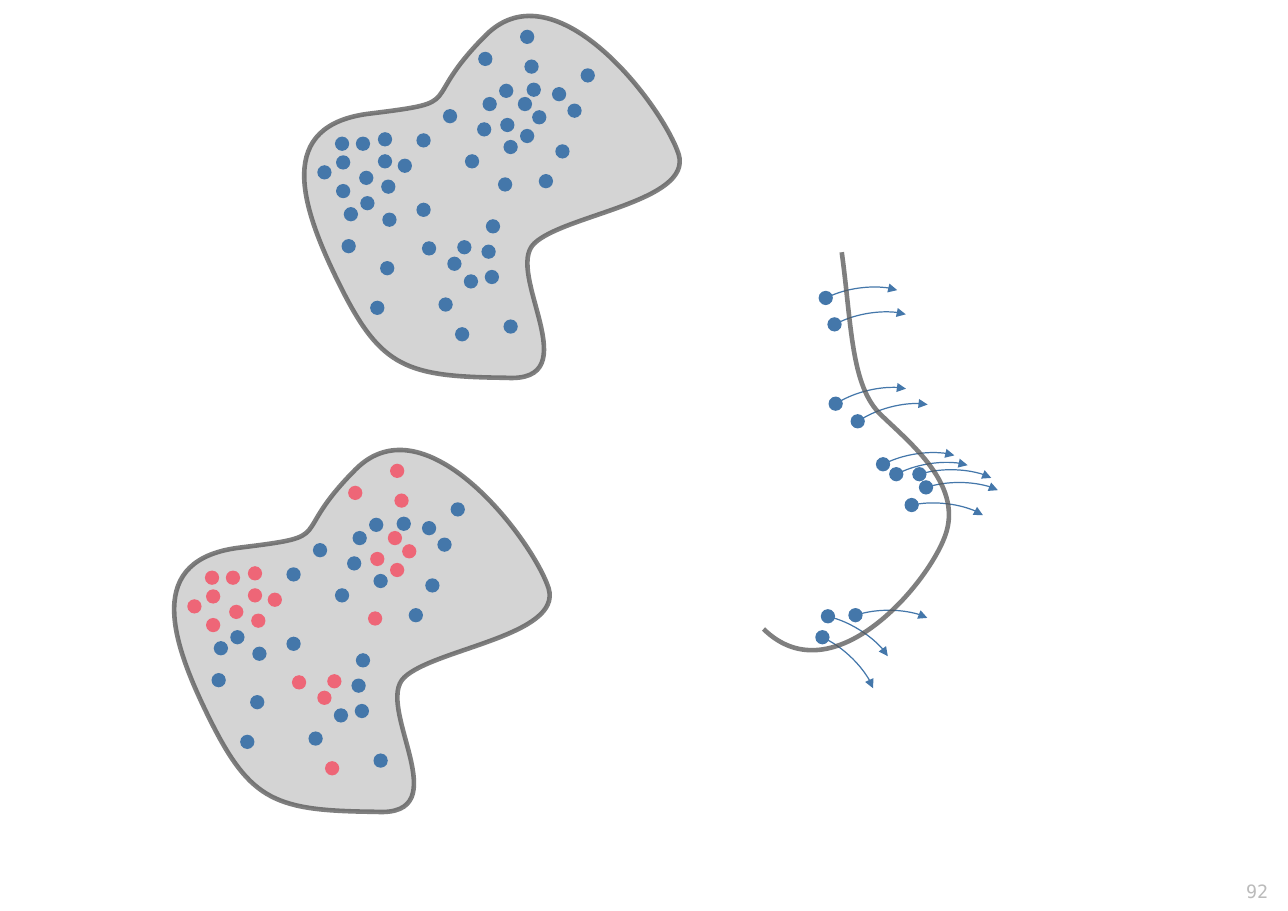
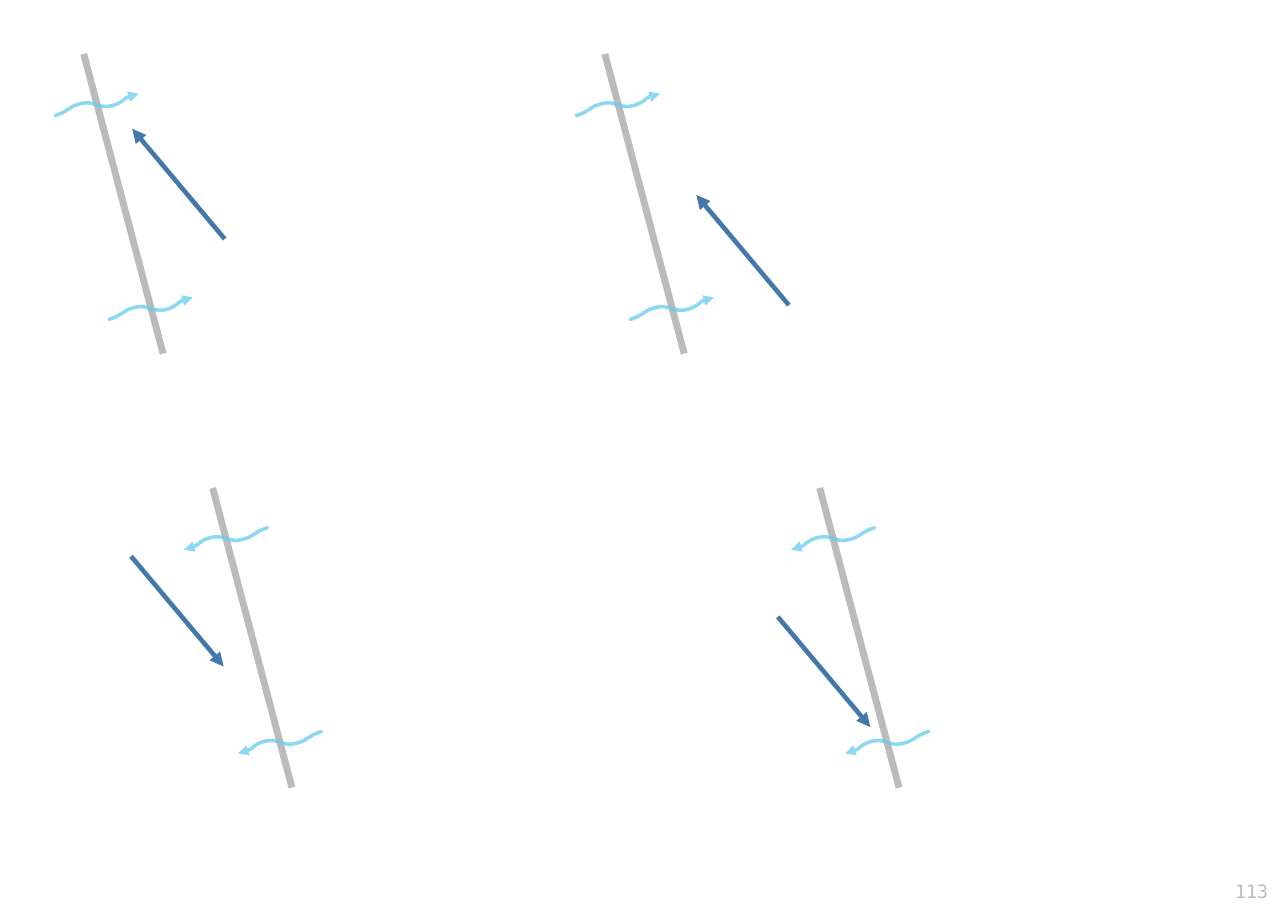
from dataclasses import dataclass
from math import cos, radians, sin

from lxml.etree import SubElement
from pptx import Presentation
from pptx.dml.color import RGBColor
from pptx.enum.shapes import MSO_CONNECTOR, MSO_SHAPE
from pptx.enum.text import PP_ALIGN
from pptx.oxml.ns import qn
from pptx.util import Inches, Pt


@dataclass(frozen=True)
class Theme:
    blue: RGBColor = RGBColor(0x44, 0x77, 0xAA)
    cyan: RGBColor = RGBColor(0x66, 0xCC, 0xEE)
    pink: RGBColor = RGBColor(0xEE, 0x66, 0x77)
    dark: RGBColor = RGBColor(0x55, 0x55, 0x55)
    grey: RGBColor = RGBColor(0xBB, 0xBB, 0xBB)
    font: str = "DejaVu Sans Mono"
    number_size: Pt = Pt(12)
    outline: Pt = Pt(3)
    hairline: Pt = Pt(0.79)
    wave: Pt = Pt(2.3)
    bar: Pt = Pt(4.5)


theme = Theme()


def stroke(s, color, width, alpha=100, arrow=False):
    s.line.color.rgb = color
    s.line.width = width
    ln = s.line._get_or_add_ln()
    if alpha < 100:
        clr = ln.find(qn("a:solidFill"))[0]
        SubElement(clr, qn("a:alpha"), val=str(alpha * 1000))
    if arrow:
        SubElement(ln, qn("a:tailEnd"), type="triangle")
    SubElement(s._element.spPr, qn("a:effectLst"))


def add_curve(shapes, points):
    samples = []
    for i in range(0, len(points) - 1, 3):
        for step in range(1, 41):
            t = step / 40
            weights = ((1 - t) ** 3, 3 * t * (1 - t) ** 2, 3 * t * t * (1 - t), t ** 3)
            samples.append([
                Inches(sum(w * pt[axis] for w, pt in zip(weights, points[i:i + 4])))
                for axis in (0, 1)
            ])
    builder = shapes.build_freeform(Inches(points[0][0]), Inches(points[0][1]), scale=1.0)
    builder.add_line_segments(samples, close=False)
    s = builder.convert_to_shape()
    outline = s._element.spPr.find(".//" + qn("a:path"))
    for segment in outline.findall(qn("a:lnTo")):
        outline.remove(segment)
    for i in range(1, len(points), 3):
        bezier = SubElement(outline, qn("a:cubicBezTo"))
        for x, y in points[i:i + 3]:
            SubElement(bezier, qn("a:pt"), x=str(Inches(x) - s.left), y=str(Inches(y) - s.top))
    if points[0] == points[-1]:
        SubElement(outline, qn("a:close"))
    s.fill.background()
    return s


prs = Presentation()
prs.slide_width, prs.slide_height = Inches(11.69), Inches(8.27)
slides = []
for number in ("92", "113"):
    slide = prs.slides.add_slide(prs.slide_layouts[6])
    slides.append(slide)
    tf = slide.shapes.add_textbox(Inches(10.61), Inches(7.94), Inches(1), Inches(0.29)).text_frame
    tf.word_wrap = False
    p = tf.paragraphs[0]
    p.alignment = PP_ALIGN.RIGHT
    r = p.add_run()
    r.text = number
    r.font.name = theme.font
    r.font.size = theme.number_size
    r.font.color.rgb = theme.grey

region_outline = [
    (4.85, 2.21), (5.12, 1.95), (6.29, 1.83), (6.16, 1.4), (6.02, 0.97), (5.05, -0.32),
    (4.41, 0.32), (3.78, 0.95), (4.26, 0.92), (3.37, 1.03), (2.49, 1.13), (2.72, 1.86),
    (3.09, 2.6), (3.46, 3.34), (3.69, 3.42), (4.59, 3.43), (5.36, 3.48), (4.57, 2.47),
    (4.85, 2.21),
]
plain_dots = [
    (4.22, 1.4), (5.04, 1.31), (5.15, 0.94), (4.89, 1.58), (4.41, 1.99), (4.4, 2.45),
    (3.98, 2.7), (3.36, 2.73), (3.1, 2.17), (3.45, 2.37), (3.78, 1.84), (3.78, 1.21),
    (4.38, 0.88), (4.57, 2.9), (3.27, 1.78), (3.47, 1.93), (3.12, 1.88), (4.57, 1.27),
    (4.33, 1.11), (4.53, 0.76), (4.78, 0.75), (5.01, 0.79), (4.02, 0.99), (5.27, 0.62),
    (4.37, 2.22), (4.21, 2.49),
]
marked_dots = [
    (3.43, 1.4), (3.83, 2.19), (4.72, 1.17), (4.76, 0.54), (4.7, 0.88), (4.52, 1.61),
    (4.13, 2.97), (4.06, 2.33), (3.05, 1.67), (3.05, 1.41), (3.23, 1.24), (3.26, 1.55),
    (3.46, 1.63), (2.88, 1.5), (3.04, 1.24), (3.43, 1.2), (3.61, 1.44), (4.54, 1.07),
    (4.83, 1), (4.72, 0.27), (4.34, 0.47), (4.15, 2.18),
]
dot_size = 0.13
shapes = slides[0].shapes
for dx, dy, marked_color in ((0, 0, theme.blue), (-1.18, 3.94, theme.pink)):
    s = add_curve(shapes, [(x + dx, y + dy) for x, y in region_outline])
    s.fill.solid()
    s.fill.fore_color.rgb = theme.dark
    fill_color = s._element.spPr.find(qn("a:solidFill"))[0]
    SubElement(fill_color, qn("a:alpha"), val="25000")
    stroke(s, theme.dark, theme.outline, 75)
    for dots, color in ((plain_dots, theme.blue), (marked_dots, marked_color)):
        for x, y in dots:
            sp = shapes.add_shape(MSO_SHAPE.OVAL, Inches(x + dx), Inches(y + dy),
                                  Inches(dot_size), Inches(dot_size))
            sp.shadow.inherit = False
            sp.fill.solid()
            sp.fill.fore_color.rgb = color
            sp.line.fill.background()

movers = [
    (7.43, 2.64, -8.4), (7.51, 2.88, -10.2), (7.52, 3.6, -14.2), (7.72, 3.76, -15.7),
    (7.95, 4.15, -9.3), (8.07, 4.24, -9.4), (8.28, 4.24, 0.8), (8.34, 4.36, 0),
    (8.21, 4.52, 5.9), (7.7, 5.52, 0), (7.4, 5.72, 43.1), (7.45, 5.53, 31.5),
]
arc_w, arc_h = 0.9, 0.37
arc_dx, arc_dy = 0.3, 0.14
for x, y, angle in movers:
    group = shapes.add_group_shape()
    sp = group.shapes.add_shape(MSO_SHAPE.OVAL, Inches(x), Inches(y),
                                Inches(dot_size), Inches(dot_size))
    sp.shadow.inherit = False
    sp.fill.solid()
    sp.fill.fore_color.rgb = theme.blue
    sp.line.fill.background()
    a = radians(angle)
    center_x = x + dot_size / 2 + arc_dx * cos(a) - arc_dy * sin(a)
    center_y = y + dot_size / 2 + arc_dx * sin(a) + arc_dy * cos(a)
    arc = group.shapes.add_shape(MSO_SHAPE.ARC, Inches(center_x - arc_w / 2),
                                 Inches(center_y - arc_h / 2), Inches(arc_w), Inches(arc_h))
    arc.adjustments[0], arc.adjustments[1] = 12.16, 97.09
    arc.rotation = 180 + angle
    arc.fill.background()
    stroke(arc, theme.blue, theme.hairline, arrow=True)

boundary = add_curve(shapes, [
    (7.64, 2.29), (7.73, 2.94), (7.72, 3.51), (8, 3.77), (8.27, 4.03), (8.72, 4.39),
    (8.59, 4.83), (8.46, 5.26), (7.57, 6.34), (6.93, 5.71),
])
stroke(boundary, theme.dark, theme.outline, 75)

wave_w, wave_h = 0.76, 0.2
wave_right = [
    (0, 0.2), (0.15, 0.15), (0.11, 0.12), (0.24, 0.09), (0.35, 0.06), (0.39, 0.14),
    (0.52, 0.11), (0.64, 0.07), (0.59, 0.04), (0.76, 0),
]
wave_left = [(wave_w - x, wave_h - y) for x, y in wave_right]
panels = [
    (0.76, 0.49, 2.04, 2.17, -1, wave_right),
    (1.93, 4.43, 1.19, 5.05, 1, wave_left),
    (5.49, 0.49, 7.16, 2.77, -1, wave_right),
    (7.44, 4.43, 7.06, 5.6, 1, wave_left),
]
shapes = slides[1].shapes
for bar_x, bar_y, arrow_x, arrow_y, way, wave in panels:
    bar = shapes.add_connector(MSO_CONNECTOR.STRAIGHT, Inches(bar_x + 0.72), Inches(bar_y + 2.72),
                               Inches(bar_x), Inches(bar_y))
    stroke(bar, theme.grey, theme.bar)
    arrow = shapes.add_connector(MSO_CONNECTOR.STRAIGHT, Inches(arrow_x), Inches(arrow_y),
                                 Inches(arrow_x + 0.84 * way), Inches(arrow_y + way))
    stroke(arrow, theme.blue, theme.outline, arrow=True)
    for dx, dy in ((-0.26, 0.36), (0.23, 2.21)):
        s = add_curve(shapes, [(bar_x + dx + x, bar_y + dy + y) for x, y in wave])
        stroke(s, theme.cyan, theme.wave, 75, arrow=True)
        s.line._get_or_add_ln().set("cap", "rnd")

prs.save("out.pptx")
